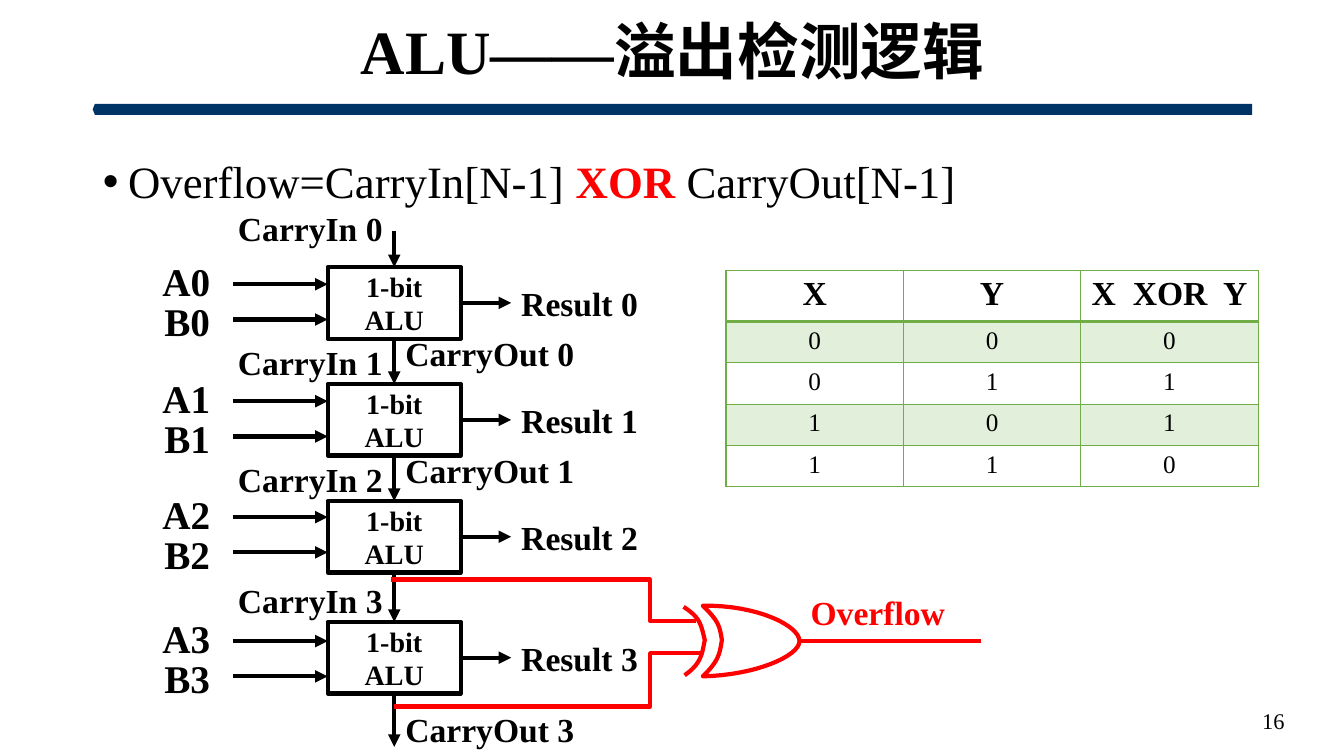
from pptx import Presentation
from pptx.dml.color import RGBColor
from pptx.enum.shapes import MSO_CONNECTOR as CONN, MSO_SHAPE as SHAPE
from pptx.enum.text import MSO_ANCHOR as ANCHOR, PP_ALIGN as ALIGN
from pptx.oxml.ns import qn
from pptx.util import Pt
from lxml.etree import SubElement

EMU_PER_PX = 9144  # 100 px to the inch
FONT = "Times New Roman"
COLORS = {"black": "000000", "white": "FFFFFF", "red": "FF0000", "navy": "003366",
          "green": "70AD47", "pale": "E2EFDA"}
XOR_TABLE = ["X", "Y", "X  XOR  Y"], ["0", "0", "0"], ["0", "1", "1"], ["1", "0", "1"], ["1", "1", "0"]


def px(*lengths):
    return [int(n * EMU_PER_PX) for n in lengths]


def rgb(name):
    return RGBColor.from_string(COLORS[name])


def style(p, size, color="black", bold=True, align=None):
    p.alignment = align
    for r in p.runs:
        r.font.name, r.font.size, r.font.bold = FONT, Pt(size), bold
        r.font.color.rgb = rgb(color)


def place(sp, box):
    sp.left, sp.top, sp.width, sp.height = px(*box)


def outline(sp, color):
    sp.line.color.rgb, sp.line.width = rgb(color), Pt(3)


def add_label(slide, text, box, size=24, color="black", bold=True, align=ALIGN.LEFT):
    tf = slide.shapes.add_textbox(*px(*box)).text_frame
    tf.margin_left = tf.margin_right = tf.margin_top = tf.margin_bottom = 0
    tf.vertical_anchor = ANCHOR.MIDDLE
    tf.word_wrap = False
    tf.text = text
    style(tf.paragraphs[0], size, color, bold, align)


def add_wire(slide, start, end, color="black", arrow=True, bend=None):
    """Draw a wire; bend is the share of the width at which an elbow turns."""
    kind = CONN.ELBOW if bend else CONN.STRAIGHT
    wire = slide.shapes.add_connector(kind, *px(*start, *end))
    outline(wire, color)
    if arrow:
        SubElement(wire.line._get_or_add_ln(), qn("a:tailEnd"), type="triangle")
    if bend:
        guides = wire._element.spPr.find(qn("a:prstGeom")).get_or_add_avLst()
        SubElement(guides, qn("a:gd"), name="adj1", fmla=f"val {round(bend * 100000)}")
    SubElement(wire._element.spPr, qn("a:effectLst"))
    return wire


def add_heading(slide, box):
    x, y, w, h = box
    bar = slide.shapes.add_shape(SHAPE.PENTAGON, *px(x, y + 90, w, 11))
    bar.adjustments[0] = 0.2
    bar._element.spPr.xfrm.set("flipH", "1")
    bar.shadow.inherit = False
    bar.fill.solid()
    bar.fill.fore_color.rgb = rgb("navy")
    bar.line.fill.background()

    title = slide.shapes.title
    place(title, box)
    tf = title.text_frame
    tf.text = "ALU——溢出检测逻辑"
    tf.vertical_anchor = ANCHOR.MIDDLE
    tf.paragraphs[0].line_spacing = 0.9
    style(tf.paragraphs[0], 44, align=ALIGN.CENTER)


def add_formula(slide, box):
    body = slide.placeholders[1]
    place(body, box)
    p = body.text_frame.paragraphs[0]
    for text in ("Overflow=CarryIn[N-1] ", "XOR ", "CarryOut[N-1]"):
        p.add_run().text = text
    p.line_spacing, p.space_before = 1.5, Pt(0)
    pPr = p._p.get_or_add_pPr()
    indent, = px(25)
    pPr.set("marL", str(indent))
    pPr.set("indent", str(-indent))
    SubElement(pPr, qn("a:buFont"), typeface="Arial")
    SubElement(pPr, qn("a:buChar"), char="•")
    style(p, 32, bold=False)
    xor = p.runs[1].font
    xor.bold, xor.color.rgb = True, rgb("red")


def add_alu_stage(slide, n, box, input_y):
    x, y, w, h = box
    alu = slide.shapes.add_shape(SHAPE.RECTANGLE, *px(*box))
    alu.shadow.inherit = False
    alu.fill.solid()
    alu.fill.fore_color.rgb = rgb("white")
    outline(alu, "black")
    alu.text_frame.text = "1-bit\nALU"
    alu.text_frame.vertical_anchor = ANCHOR.MIDDLE
    for p in alu.text_frame.paragraphs:
        style(p, 20, align=ALIGN.CENTER)

    for name, label_x, label_y, wire_y in (("A", 161, -27, 0), ("B", 163, 13, 35)):
        add_label(slide, f"{name}{n}", (label_x, input_y + label_y, 54, 47), 28)
        add_wire(slide, (x - 94, input_y + wire_y), (x, input_y + wire_y))
    mid = y + h / 2
    add_wire(slide, (x + w, mid), (x + w + 50, mid)).begin_connect(alu, 3)
    add_label(slide, f"Result {n}", (x + 192, y + 16, 117, 40))
    add_label(slide, f"CarryIn {n}", (x - 89, y - (42 if n else 59), 145, 40))
    return alu


def add_adder_chain(slide, x, w, h):
    tops, input_ys = (265, 381, 497, 617), (282, 398, 513, 636)
    alus = [add_alu_stage(slide, n, (x, y, w, h), input_y)
            for n, (y, input_y) in enumerate(zip(tops, input_ys))]
    mid = x + w // 2
    add_wire(slide, (mid, 229), (mid, tops[0])).end_connect(alus[0], 0)
    for upper, lower, y in zip(alus, alus[1:], tops):
        wire = add_wire(slide, (mid, y + h), (mid, y + h + 45))
        wire.begin_connect(upper, 2)
        wire.end_connect(lower, 0)
    add_wire(slide, (mid, tops[-1] + h), (mid, 741)).begin_connect(alus[-1], 2)
    for n, y in ((0, 330), (1, 446), (3, 703)):
        add_label(slide, f"CarryOut {n}", (x + 77, y, 169, 40))


def bezier(p0, p1, p2, p3, steps=16):
    for i in range(1, steps + 1):
        t = i / steps
        weights = (1 - t) ** 3, 3 * t * (1 - t) ** 2, 3 * t * t * (1 - t), t ** 3
        yield tuple(sum(k * c for k, c in zip(weights, axis)) for axis in zip(p0, p1, p2, p3))


def add_curve(slide, start, curves, offset, closed):
    """Draw cubic curves, each given by two handles and an end point."""
    points = [start]
    for curve in curves:
        points += bezier(points[-1], *curve)
    points = [px(offset[0] + cx, offset[1] + cy) for cx, cy in points]
    builder = slide.shapes.build_freeform(*points[0])
    builder.add_line_segments(points[1:], close=closed)
    sp = builder.convert_to_shape()
    sp.shadow.inherit = False
    outline(sp, "red")
    if closed:
        sp.fill.solid()
        sp.fill.fore_color.rgb = rgb("white")
    else:
        sp.fill.background()


def add_xor_gate(slide, x, y):
    add_curve(slide, (1, 69), [((16, 58), (18, 51), (21, 34)),
                               ((17, 16), (15, 11), (0, 1))], (x, y), False)
    add_curve(slide, (19, 0), [((73, -1), (115, 20), (115, 35)), ((115, 50), (71, 69), (19, 70)),
                               ((35, 55), (36, 47), (38, 34)), ((36, 21), (35, 15), (19, 0))],
              (x, y), True)
    add_wire(slide, (388, y - 26), (x + 12, y + 15), "red", False, 0.85)
    add_wire(slide, (391, y + 100), (x + 19, y + 47), "red", False, 0.83)
    add_wire(slide, (x + 115, y + 35), (x + 295, y + 35), "red", False)
    add_label(slide, "Overflow", (x + 126, y - 14, 134, 40), color="red")


def add_border(cell, side, width):
    ln = SubElement(cell._tc.get_or_add_tcPr(), qn(f"a:{side}"), w=str(Pt(width)))
    SubElement(SubElement(ln, qn("a:solidFill")), qn("a:srgbClr"), val=COLORS["green"])


def add_truth_table(slide, box):
    table = slide.shapes.add_table(len(XOR_TABLE), len(XOR_TABLE[0]), *px(*box)).table
    for i, texts in enumerate(XOR_TABLE):
        table.rows[i].height, = px(41 if i else 51)
        for j, text in enumerate(texts):
            cell = table.cell(i, j)
            cell.text = text
            style(cell.text_frame.paragraphs[0], 18 if i else 24, bold=i == 0, align=ALIGN.CENTER)
            for side in ("lnL", "lnR", "lnT", "lnB"):
                add_border(cell, side, 2 if (i, side) in ((0, "lnB"), (1, "lnT")) else 1)
            if i % 2:
                cell.fill.solid()
                cell.fill.fore_color.rgb = rgb("pale")
            else:
                cell.fill.background()


def main():
    prs = Presentation()
    prs.slide_width, prs.slide_height = px(1333, 750)
    slide = prs.slides.add_slide(prs.slide_layouts[1])
    add_heading(slide, (92, 13, 1150, 82))
    add_formula(slide, (92, 121, 1150, 555))
    add_label(slide, "16", (984, 695, 290, 40), 16, bold=False, align=ALIGN.RIGHT)
    add_adder_chain(slide, 325, 132, 71)
    add_xor_gate(slide, 678, 601)
    add_truth_table(slide, (720, 268, 528, 215))
    prs.save("out.pptx")


if __name__ == "__main__":
    main()
